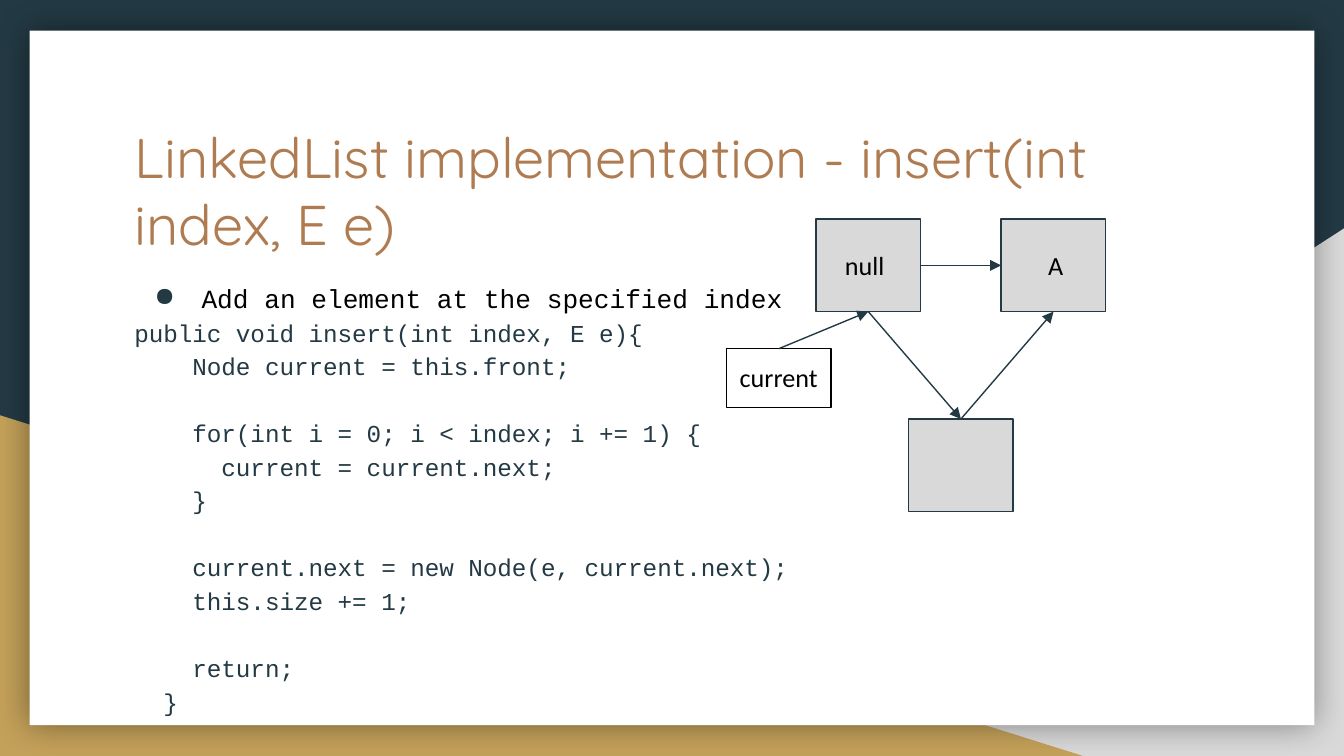
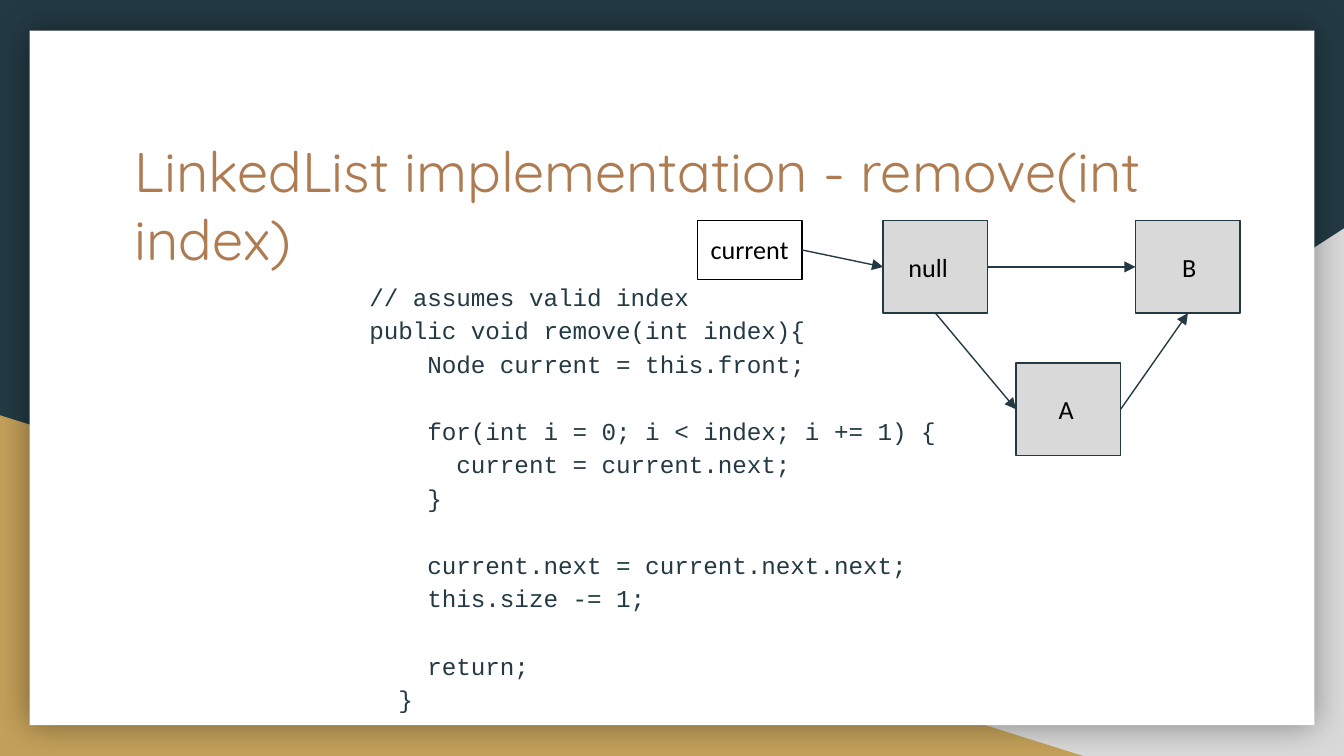
from lxml import etree
from pptx import Presentation
from pptx import util as u
from pptx.dml import color
from pptx.enum import shapes, text
from pptx.oxml import ns

HUES = {"navy": "233A44", "gold": "C4A15A", "gray": "D9D9D9", "white": "FFFFFF",
        "brown": "AF7B51", "black": "000000"}
TOP, LEFT, BASE, RIGHT = range(4)
NODE = 1.98, 1.75
TAG = 1.98, 1.11

INSERT = """public void insert(int index, E e){
    Node current = this.front;

    for(int i = 0; i < index; i += 1) {
      current = current.next;
    }

    current.next = new Node(e, current.next);
    this.size += 1;

    return;
  }"""

REMOVE = """// assumes valid index
public void remove(int index){
    Node current = this.front;

    for(int i = 0; i < index; i += 1) {
      current = current.next;
    }

    current.next = current.next.next;
    this.size -= 1;

    return;
  }"""


def hue(name):
    return color.RGBColor.from_string(HUES[name])


def add(parent, tag, **attrs):
    return etree.SubElement(parent, ns.qn(tag), attrs)


class Deck:
    def __init__(self):
        self.prs = Presentation()
        self.prs.slide_width = u.Cm(25.4)
        self.prs.slide_height = u.Cm(14.29)
        self.slide = None

    def page(self, title, top):
        self.slide = self.prs.slides.add_slide(self.prs.slide_layouts[6])
        fill = self.slide.background.fill
        fill.solid()
        fill.fore_color.rgb = hue("navy")
        kind = shapes.MSO_SHAPE.RIGHT_TRIANGLE
        wedge = self.shape((9.96, 4.32, 15.44, 9.97), "gray", kind=kind)
        wedge._element.spPr.xfrm.set("flipH", "1")
        self.shape((0, 7.85, 20.47, 6.44), "gold", kind=kind)
        card = self.shape((0.56, 0.58, 24.28, 13.13), "white")
        glow = add(card._element.spPr.find(ns.qn("a:effectLst")), "a:outerShdw",
                   blurRad=str(u.Pt(18)), dist="0", dir="0", algn="ctr", rotWithShape="0")
        add(add(glow, "a:srgbClr", val=HUES["black"]), "a:alpha", val="40000")
        box = self.box((2.29, top, 20.85, 2.64))
        self.label(box.paragraphs[0], title, 30, "Quicksand", "brown")

    def shape(self, area, fill=None, line=None, kind=shapes.MSO_SHAPE.RECTANGLE):
        item = self.slide.shapes.add_shape(kind, *map(u.Cm, area))
        item.shadow.inherit = False
        if fill:
            item.fill.solid()
            item.fill.fore_color.rgb = hue(fill)
        else:
            item.fill.background()
        if line:
            item.line.color.rgb = hue(line)
            item.line.width = u.Pt(0.75)
        else:
            item.line.fill.background()
        return item

    def frame(self, item, wrap=True):
        body = item.text_frame
        body.word_wrap = wrap
        body.vertical_anchor = text.MSO_ANCHOR.TOP
        body.margin_left = body.margin_right = u.Cm(0.25)
        body.margin_top = body.margin_bottom = u.Cm(0.25)
        return body

    def box(self, area):
        return self.frame(self.slide.shapes.add_textbox(*map(u.Cm, area)))

    def label(self, para, words, size, face, tint):
        para.text = words
        para.alignment = text.PP_ALIGN.LEFT
        para.font.size = u.Pt(size)
        para.font.name = face
        para.font.color.rgb = hue(tint)

    def block(self, area, lines, point=None):
        body = self.box(area)
        para = body.paragraphs[0]
        if point:
            para.line_spacing = 1.15
            props = para._p.get_or_add_pPr()
            props.set("marL", str(u.Cm(1.27)))
            props.set("indent", str(u.Cm(-0.89)))
            add(add(props, "a:buClr"), "a:srgbClr", val=HUES["navy"])
            add(props, "a:buChar", char="●")
            self.label(para, point, 14, "Courier New", "black")
        gap = False
        for line in lines.splitlines():
            if not line:
                gap = True
                continue
            if para.runs:
                para = body.add_paragraph()
            para.line_spacing = 1.15
            if gap:
                para.space_before = u.Pt(18)
            self.label(para, line, 13, "Courier New", "navy")
            gap = False

    def node(self, left, top, name=None, shift=0, width=0):
        item = self.shape((left, top, *NODE), "gray", "navy")
        if name:
            body = self.box((left + shift, top + 0.33, width, 1.12))
            self.label(body.paragraphs[0], name, 14, "Calibri", "black")
        return item

    def tag(self, left, top, name):
        item = self.shape((left, top, *TAG), line="black")
        body = self.frame(item, wrap=False)
        self.label(body.paragraphs[0], name, 14, "Calibri", "black")
        return item

    def arrow(self, start, out, end, into):
        link = self.slide.shapes.add_connector(shapes.MSO_CONNECTOR.STRAIGHT, 0, 0, 0, 0)
        link.begin_connect(start, out)
        link.end_connect(end, into)
        link.line.color.rgb = hue("navy")
        link.line.width = u.Pt(0.75)
        add(link.line._get_or_add_ln(), "a:tailEnd", type="triangle")
        add(link._element.spPr, "a:effectLst")


def insert(deck):
    deck.page("LinkedList implementation - insert(int index, E e)", 2.06)
    deck.block((2.29, 5, 13.54, 8.4), INSERT, "Add an element at the specified index")
    front = deck.node(15.42, 4.14, "null", 0.3, 1.4)
    fresh = deck.node(17.17, 7.92)
    after = deck.node(18.92, 4.14, "A", 0.64, 1.09)
    mark = deck.tag(13.73, 6.59, "current")
    deck.arrow(front, RIGHT, after, LEFT)
    deck.arrow(mark, TOP, front, BASE)
    deck.arrow(fresh, TOP, after, BASE)
    deck.arrow(front, BASE, fresh, TOP)


def remove(deck):
    deck.page("LinkedList implementation - remove(int index)", 2.34)
    deck.block((6.73, 5, 11.96, 7.9), REMOVE)
    front = deck.node(16.69, 4.17, "null", 0.23, 1.55)
    gone = deck.node(19.2, 6.86, "A", 0.56, 0.86)
    after = deck.node(21.46, 4.17, "B", 0.63, 0.71)
    mark = deck.tag(13.18, 4.17, "current")
    deck.arrow(front, BASE, gone, LEFT)
    deck.arrow(gone, RIGHT, after, BASE)
    deck.arrow(mark, RIGHT, front, LEFT)
    deck.arrow(front, RIGHT, after, LEFT)


def main():
    deck = Deck()
    insert(deck)
    remove(deck)
    deck.prs.save("out.pptx")


if __name__ == "__main__":
    main()
